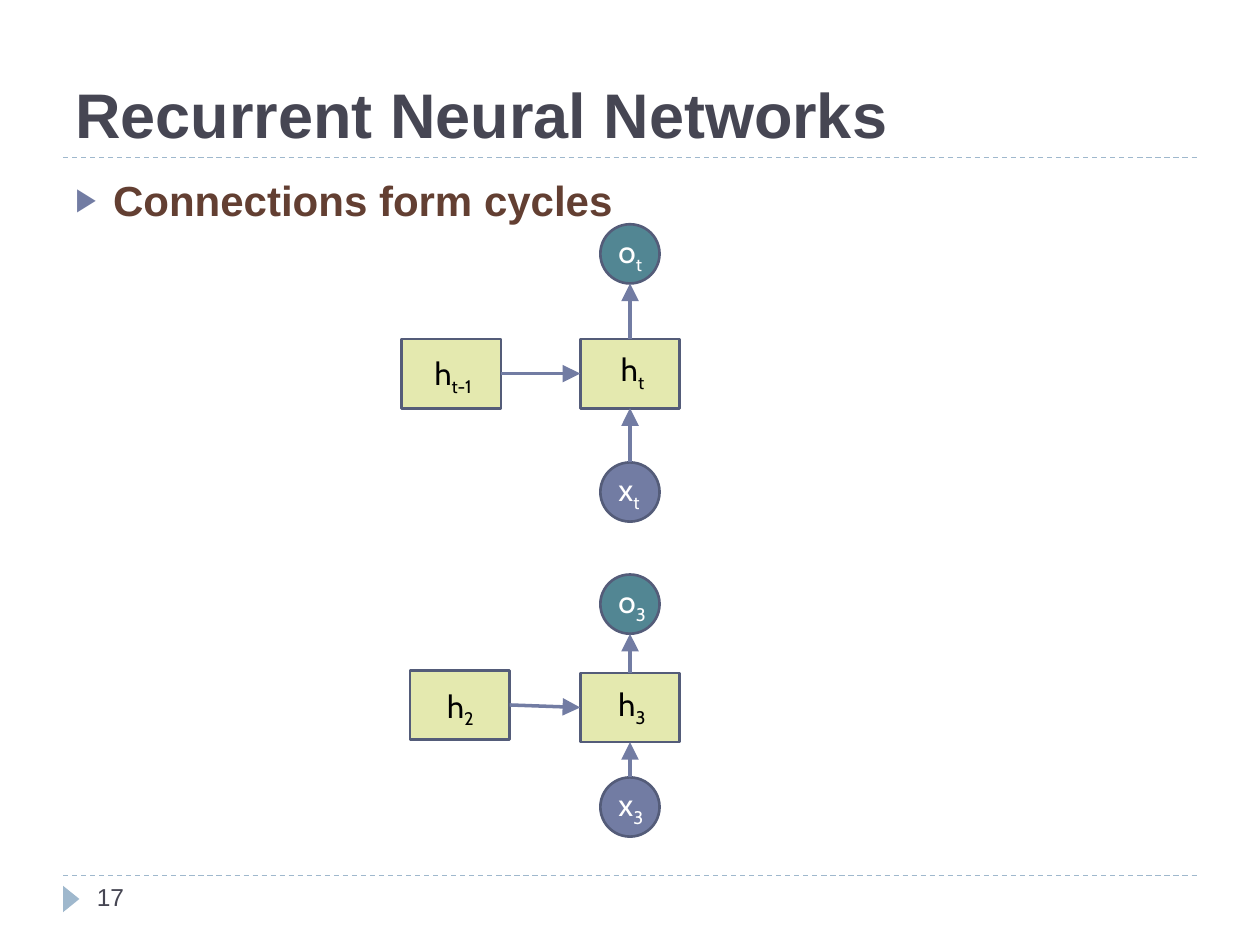
from lxml.etree import SubElement
from pptx import Presentation
from pptx.dml.color import RGBColor
from pptx.enum.dml import MSO_LINE
from pptx.enum.shapes import MSO_CONNECTOR, MSO_SHAPE
from pptx.enum.text import MSO_ANCHOR
from pptx.oxml.ns import qn
from pptx.util import Inches, Pt

BLUE, TEAL, LIME = "727CA3", "528693", "E4E9AF"
PALE, OUTLINE, SLATE = "9FB8CD", "545C79", "464653"
BROWN, WHITE, BLACK = "633F32", "FFFFFF", "000000"
BOX_SIZE = (7.9, 5.5)
CIRCLE_SIZE = (4.7, 4.7)
LABEL_SIZE = (6.2, 4)
AXIS = 50


def grid(*counts):
    return [Inches(count / 10) for count in counts]


def color(hex_code):
    return RGBColor.from_string(hex_code)


def style(span, size, hex_code, font="Arial", bold=False):
    span.font.size = Pt(size)
    span.font.name = font
    span.font.bold = bold
    span.font.color.rgb = color(hex_code)


def add_text(page, place, text, size, hex_code, font="Arial", bold=False):
    box = page.shapes.add_textbox(*grid(*place))
    box.text_frame.word_wrap = True
    box.text_frame.text = text
    style(box.text_frame.paragraphs[0].runs[0], size, hex_code, font, bold)
    return box


def add_bullet(para, symbol, hex_code, percent, indent):
    properties = para._p.get_or_add_pPr()
    properties.set("marL", str(indent))
    properties.set("indent", str(-indent))
    bullet_color = SubElement(properties, qn("a:buClr"))
    SubElement(bullet_color, qn("a:srgbClr")).set("val", hex_code)
    SubElement(properties, qn("a:buSzPct")).set("val", str(percent * 1000))
    SubElement(properties, qn("a:buFont")).set("typeface", "Arial")
    SubElement(properties, qn("a:buChar")).set("char", symbol)


def add_label(page, corner, letter, subscript, hex_code):
    box = add_text(page, (*corner, *LABEL_SIZE), letter, 18, hex_code, "Cabin")
    span = box.text_frame.paragraphs[0].add_run()
    span.text = subscript
    style(span, 18, hex_code, "Cabin")
    span._r.get_or_add_rPr().set("baseline", "-25000")


def add_node(page, preset, center, top, size, fill):
    node = page.shapes.add_shape(preset, *grid(center - size[0] / 2, top, *size))
    node.shadow.inherit = False
    node.fill.solid()
    node.fill.fore_color.rgb = color(fill)
    node.line.color.rgb = color(OUTLINE)
    node.line.width = Pt(1.5)
    return node


def add_line(page, ends, hex_code, width):
    line = page.shapes.add_connector(MSO_CONNECTOR.STRAIGHT, *ends)
    line.line.color.rgb = color(hex_code)
    line.line.width = Pt(width)
    SubElement(line._element.spPr, qn("a:effectLst"))
    return line


def add_arrow(page, ends):
    arrow = add_line(page, ends, BLUE, 2)
    head = SubElement(arrow.line._get_or_add_ln(), qn("a:tailEnd"))
    for name, value in (("type", "triangle"), ("w", "lg"), ("len", "lg")):
        head.set(name, value)
    return arrow


def add_rule(page, row):
    rule = add_line(page, grid(5, row, 95, row), PALE, 0.75)
    rule.line.dash_style = MSO_LINE.DASH


def add_step(page, tops, previous_center, previous_top, labels):
    output_top, hidden_top, input_top = tops
    output = add_node(page, MSO_SHAPE.OVAL, AXIS, output_top, CIRCLE_SIZE, TEAL)
    hidden = add_node(page, MSO_SHAPE.RECTANGLE, AXIS, hidden_top, BOX_SIZE, LIME)
    source = add_node(page, MSO_SHAPE.OVAL, AXIS, input_top, CIRCLE_SIZE, BLUE)
    previous = add_node(page, MSO_SHAPE.RECTANGLE, previous_center, previous_top,
                        BOX_SIZE, LIME)

    middle = hidden.left + hidden.width // 2
    upward = add_arrow(page, (middle, hidden.top, middle, output.top + output.height))
    upward.begin_connect(hidden, 0)
    inward = add_arrow(page, (middle, source.top, middle, hidden.top + hidden.height))
    inward.end_connect(hidden, 2)
    onward = add_arrow(page, (0, 0, 0, 0))
    onward.begin_connect(previous, 3)
    onward.end_connect(hidden, 1)

    for label in labels:
        add_label(page, *label)


def add_frame(page):
    for row in (12.5, 69.5):
        add_rule(page, row)
    marker = page.shapes.add_shape(MSO_SHAPE.ISOSCELES_TRIANGLE,
                                   *grid(4.6, 70.7, 2.1, 1.3))
    marker.rotation = 90
    marker.shadow.inherit = False
    marker.fill.solid()
    marker.fill.fore_color.rgb = color(PALE)
    marker.line.fill.background()
    add_text(page, (6.7, 69.5, 21.7, 4), "17", 14, SLATE)


def main():
    deck = Presentation()
    deck.slide_width, deck.slide_height = grid(100, 75)
    page = deck.slides.add_slide(deck.slide_layouts[6])

    add_frame(page)
    title = add_text(page, (5, 1.7, 90, 10.8), "Recurrent Neural Networks",
                     36, SLATE, bold=True)
    title.text_frame.vertical_anchor = MSO_ANCHOR.BOTTOM
    body = add_text(page, (5, 13.35, 90, 54), "Connections form cycles",
                    24, BROWN, bold=True)
    add_bullet(body.text_frame.paragraphs[0], "▶", BLUE, 76, Inches(0.3))

    add_step(page, (17.8, 26.9, 36.7), 35.8, 26.9, [
        ((48.1, 17.9), "o", "t", WHITE),
        ((48.3, 27.3), "h", "t", BLACK),
        ((48.1, 36.8), "x", "t", WHITE),
        ((33.5, 27.6), "h", "t-1", BLACK),
    ])
    add_step(page, (45.6, 53.4, 61.7), 36.5, 53.2, [
        ((48.1, 45.7), "o", "3", WHITE),
        ((48.1, 53.9), "h", "3", BLACK),
        ((48.1, 61.8), "x", "3", WHITE),
        ((34.5, 54), "h", "2", BLACK),
    ])
    deck.save("out.pptx")


if __name__ == "__main__":
    main()
